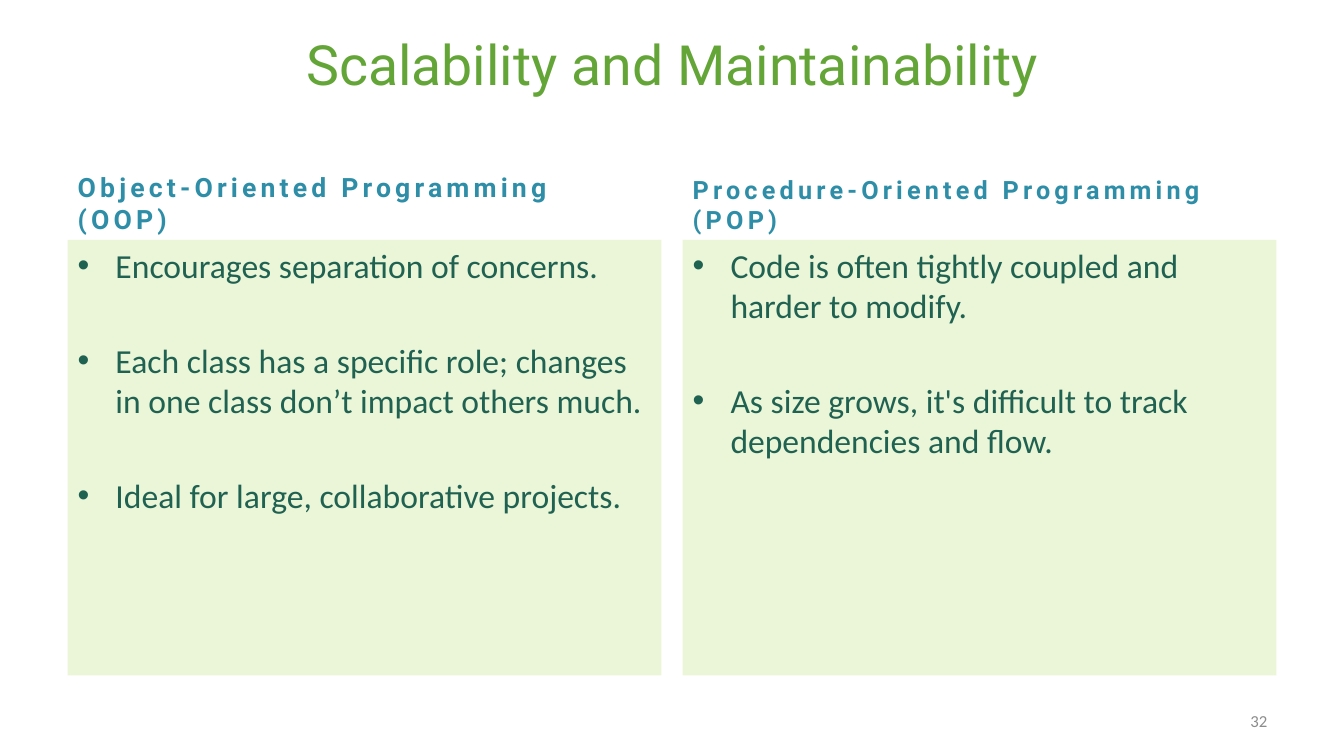
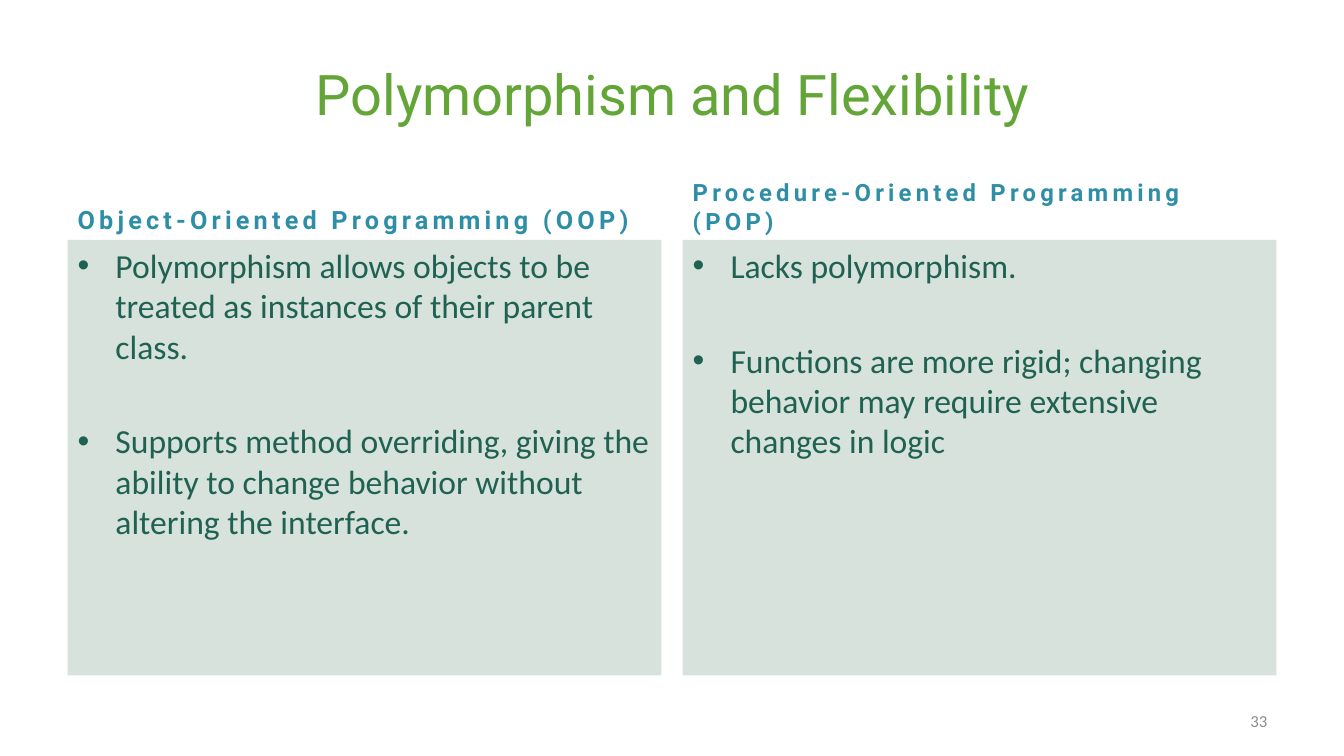
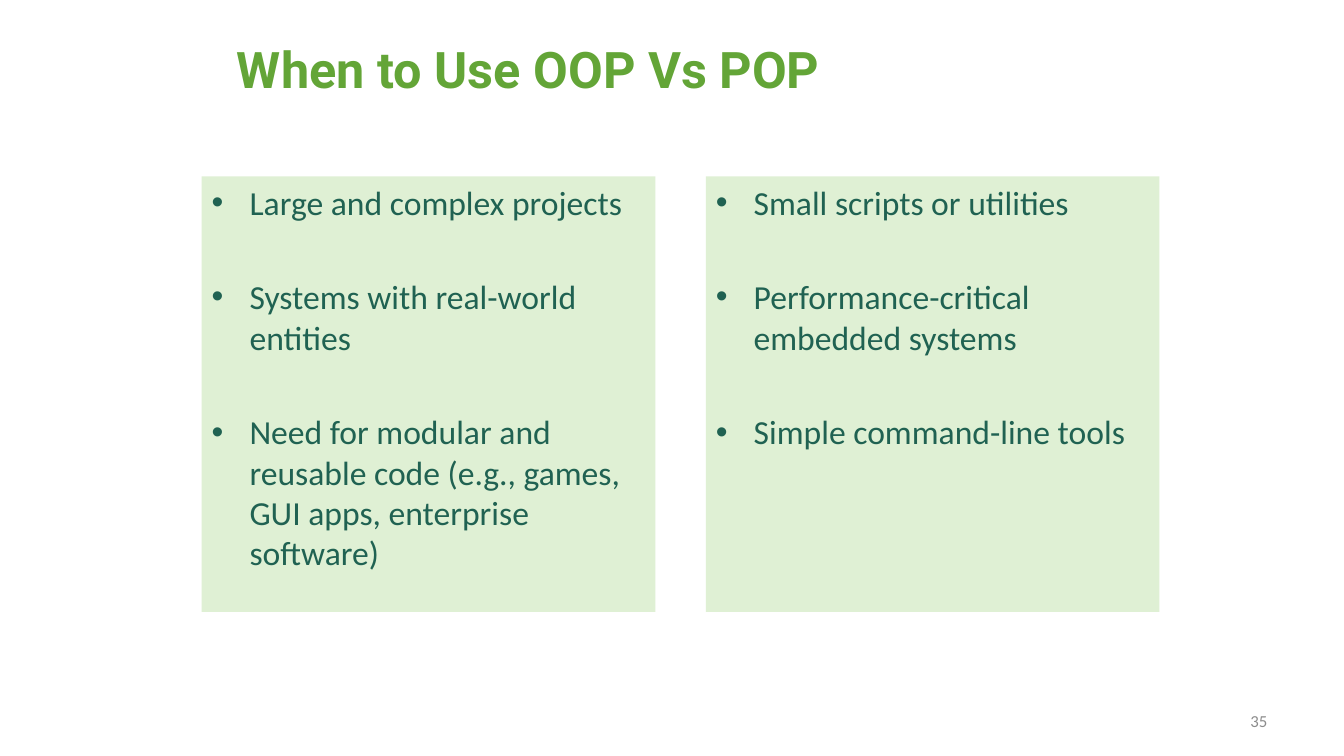
from pptx import Presentation
from pptx.dml.color import RGBColor
from pptx.enum.text import MSO_ANCHOR, MSO_AUTO_SIZE, PP_ALIGN
from pptx.util import Inches, Pt

# Shared look
GREEN, TEAL, DARK_GREEN, GRAY = "63A537", "2E8EA8", "206252", "8C8C8C"
TITLE_STYLE = {"name": "Roboto", "size": Pt(40), "bold": False}
HEADING_STYLE = {"name": "Roboto", "bold": True}
BULLET_STYLE = {"name": "Calibri", "size": Pt(24), "bold": False}
NUMBER_STYLE = {"name": "Calibri", "size": Pt(12)}
BULLET_GAP = Pt(38.9)
LETTER_SPACING = "300"
COMPARISON_LAYOUT, TWO_CONTENT_LAYOUT = 4, 3

# Shared geometry, in inches: left, top, width, height
TITLE_AREA = (0.67, 0.3, 12, 1.25)
NUMBER_AREA = (9.56, 6.95, 3.11, 0.4)
HEADING_TOP, HEADING_HEIGHT = 1.68, 0.7
PANEL_HEIGHT = 4.32

OOP = "Object-Oriented Programming (OOP)"
POP = "Procedure-Oriented Programming (POP)"


def color(hex_string):
    return RGBColor.from_string(hex_string)


def apply(target, values):
    for name, value in values.items():
        setattr(target, name, value)


def place(box, area):
    apply(box, dict(zip(("left", "top", "width", "height"), map(Inches, area))))


def write(para, text, style, hex_string):
    span = para.add_run()
    span.text = text
    apply(span.font, style)
    span.font.color.rgb = color(hex_string)
    return span


def set_frame(box, anchor):
    frame = box.text_frame
    apply(frame, {"word_wrap": True, "auto_size": MSO_AUTO_SIZE.NONE,
                  "vertical_anchor": anchor})
    return frame


def add_title(page, text, area=TITLE_AREA, anchor=MSO_ANCHOR.MIDDLE,
              align=PP_ALIGN.CENTER, **changes):
    box = page.shapes.title
    place(box, area)
    frame = set_frame(box, anchor)
    frame.paragraphs[0].alignment = align
    write(frame.paragraphs[0], text, {**TITLE_STYLE, **changes}, GREEN)
    return frame


def add_heading(box, text, size, left, width):
    place(box, (left, HEADING_TOP, width, HEADING_HEIGHT))
    frame = set_frame(box, MSO_ANCHOR.BOTTOM)
    style = {**HEADING_STYLE, "size": Pt(size)}
    span = write(frame.paragraphs[0], text, style, TEAL)
    span.font._element.set("spc", LETTER_SPACING)


def add_panel(box, bullets, fill, area):
    place(box, area)
    box.fill.solid()
    box.fill.fore_color.rgb = color(fill)
    frame = set_frame(box, MSO_ANCHOR.TOP)
    for index, text in enumerate(bullets):
        para = frame.add_paragraph() if index else frame.paragraphs[0]
        para.space_before = BULLET_GAP if index else Pt(0)
        write(para, text, BULLET_STYLE, DARK_GREEN)


def add_number(page, number):
    box = page.shapes.add_textbox(*map(Inches, NUMBER_AREA))
    para = set_frame(box, MSO_ANCHOR.MIDDLE).paragraphs[0]
    para.alignment = PP_ALIGN.RIGHT
    write(para, str(number), NUMBER_STYLE, GRAY)


def add_columns(page, columns, fill, left, top, width, gap):
    """Each column is (bullets,) or (bullets, heading, heading size)."""
    boxes = iter([box for box in page.placeholders if box != page.shapes.title])
    for index, (bullets, *heading) in enumerate(columns):
        x = left + index * (width + gap)
        if heading:
            add_heading(next(boxes), *heading, x, width)
        add_panel(next(boxes), bullets, fill, (x, top, width, PANEL_HEIGHT))


def add_page(deck, layout, number):
    page = deck.slides.add_slide(deck.slide_layouts[layout])
    add_number(page, number)
    return page


def main():
    deck = Presentation()
    apply(deck, {"slide_width": Inches(13.33), "slide_height": Inches(7.5)})
    comparison = {"left": 0.67, "top": 2.38, "width": 5.89, "gap": 0.21}

    # Scalability
    page = add_page(deck, COMPARISON_LAYOUT, 32)
    frame = add_title(page, "Scalability and Maintainability",
                      anchor=MSO_ANCHOR.TOP, size=Pt(39.6))
    frame.margin_top = 0
    add_columns(page, [
        (["Encourages separation of concerns.",
          "Each class has a specific role; changes in one class "
          "don’t impact others much.",
          "Ideal for large, collaborative projects."], OOP, 19),
        (["Code is often tightly coupled and harder to modify.",
          "As size grows, it's difficult to track dependencies and flow."],
         POP, 18),
    ], "EBF5D7", **comparison)

    # Polymorphism
    page = add_page(deck, COMPARISON_LAYOUT, 33)
    add_title(page, "Polymorphism and Flexibility")
    add_columns(page, [
        (["Polymorphism allows objects to be treated as instances of their "
          "parent class.",
          "Supports method overriding, giving the ability to change behavior "
          "without altering the interface."], OOP, 18),
        (["Lacks polymorphism.",
          "Functions are more rigid; changing behavior may require extensive "
          "changes in logic"], POP, 17),
    ], "D7E2DC", **comparison)

    # When to use each
    page = add_page(deck, TWO_CONTENT_LAYOUT, 35)
    add_title(page, "When to Use OOP Vs POP", (2.25, 0.33, 9, 0.7),
              MSO_ANCHOR.BOTTOM, PP_ALIGN.LEFT, size=Pt(36), bold=True)
    add_columns(page, [
        (["Large and complex projects",
          "Systems with real-world entities",
          "Need for modular and reusable code (e.g., games, GUI apps, "
          "enterprise software)"],),
        (["Small scripts or utilities",
          "Performance-critical embedded systems",
          "Simple command-line tools"],),
    ], "DFF0D4", left=2, top=1.75, width=4.5, gap=0.5)

    deck.save("out.pptx")


if __name__ == "__main__":
    main()
